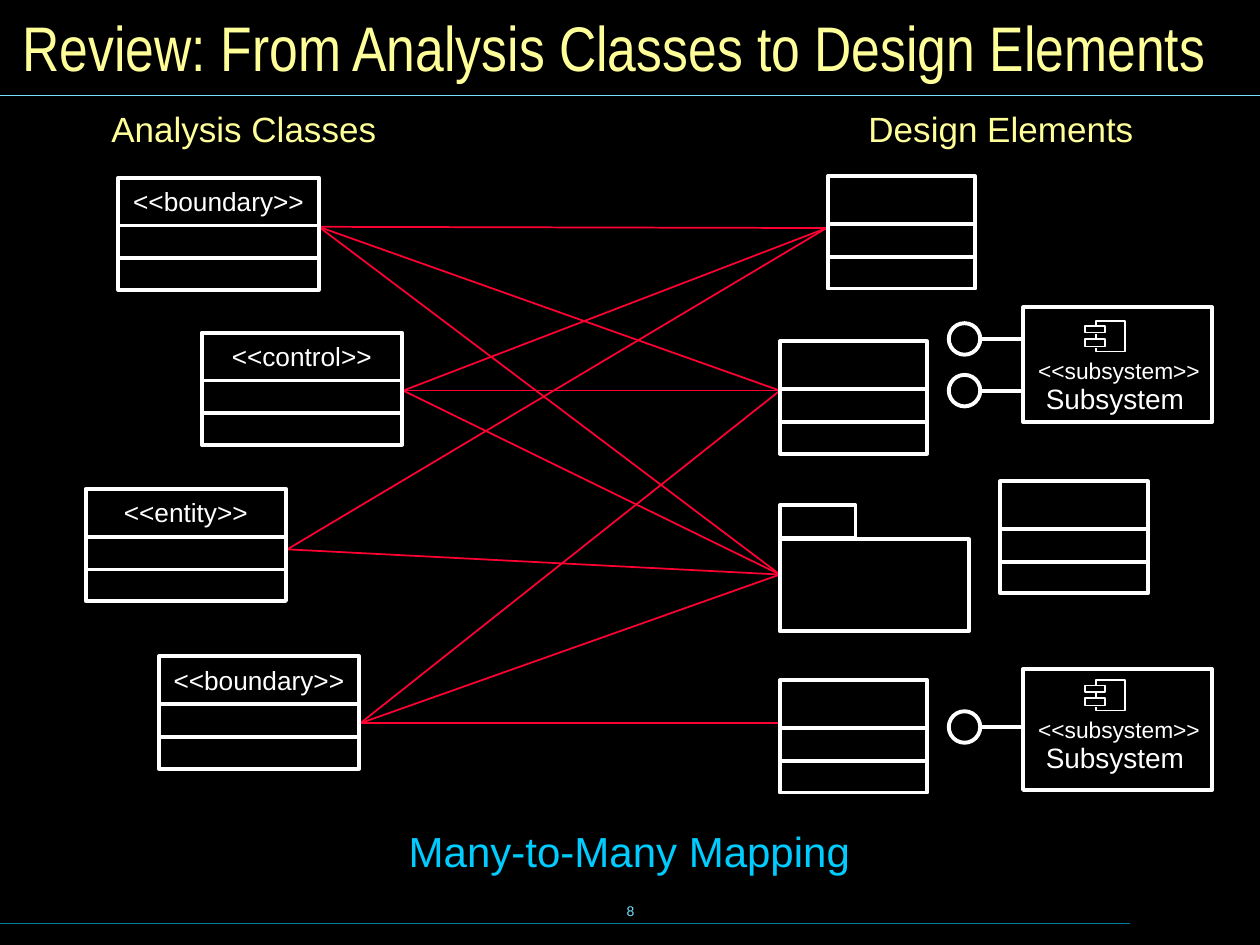
import pptx
import pptx.util
import pptx.dml.color
import pptx.enum.shapes
import pptx.enum.text
import pptx.oxml.ns
import lxml.etree

Inches = pptx.util.Inches
Pt = pptx.util.Pt
RGBColor = pptx.dml.color.RGBColor
MSO_SHAPE = pptx.enum.shapes.MSO_SHAPE
MSO_ANCHOR = pptx.enum.text.MSO_ANCHOR
PP_ALIGN = pptx.enum.text.PP_ALIGN

BLACK = RGBColor(0x00, 0x00, 0x00)
WHITE = RGBColor(0xFF, 0xFF, 0xFF)
YELLOW = RGBColor(0xFF, 0xFF, 0x99)
CYAN = RGBColor(0x00, 0xCC, 0xFF)
PALE_CYAN = RGBColor(0x73, 0xE1, 0xFF)
TEAL = RGBColor(0x00, 0x7E, 0x9F)
RED = RGBColor(0xFF, 0x00, 0x33)

OUTLINE = 2.25
CLASS_HEIGHT = 0.89
DIVIDERS = (0.38, 0.64)

ANALYSIS_CLASSES = [
    ("<<boundary>>", 0.94, 1.41),
    ("<<control>>", 1.6, 2.64),
    ("<<entity>>", 0.68, 3.88),
    ("<<boundary>>", 1.26, 5.21),
]
DESIGN_CLASSES = [(6.57, 1.4), (6.19, 2.71), (7.94, 3.82), (6.19, 5.4)]
ANALYSIS_PORTS = [(2.53, 1.8), (3.2, 3.1), (2.28, 4.36), (2.86, 5.74)]
DESIGN_PORTS = [(6.56, 1.81), (6.19, 3.1), (6.19, 4.56), (6.19, 5.74)]
MAPPING = [(0, 1, 2), (0, 1, 2), (0, 2), (1, 2, 3)]


def add_line(shapes, start, end, color=WHITE, width=OUTLINE):
    connector = shapes.add_connector(
        pptx.enum.shapes.MSO_CONNECTOR.STRAIGHT,
        *(Inches(value) for value in (*start, *end)),
    )
    connector.line.color.rgb = color
    connector.line.width = Pt(width)
    properties = connector._element.spPr
    lxml.etree.SubElement(properties, pptx.oxml.ns.qn("a:effectLst"))


def style_outline(shape, width):
    shape.shadow.inherit = False
    shape.fill.background()
    shape.line.color.rgb = WHITE
    shape.line.width = Pt(width)


def add_outline(shapes, kind, left, top, width, height, line_width=OUTLINE):
    bounds = (Inches(value) for value in (left, top, width, height))
    style_outline(shapes.add_shape(kind, *bounds), line_width)


def format_paragraph(paragraph, size, color, align, font_name="Arial"):
    paragraph.alignment = align
    paragraph.font.size = Pt(size)
    paragraph.font.name = font_name
    paragraph.font.color.rgb = color


def add_text(shapes, text, bounds, size, color, align=PP_ALIGN.CENTER,
             inset=0.12, anchor=MSO_ANCHOR.TOP):
    box = shapes.add_textbox(*(Inches(value) for value in bounds))
    frame = box.text_frame
    frame.word_wrap = True
    frame.vertical_anchor = anchor
    frame.margin_left = frame.margin_right = Inches(inset)
    frame.margin_top = frame.margin_bottom = Inches(inset / 2)
    frame.text = text
    format_paragraph(frame.paragraphs[0], size, color, align)


def add_class(slide, left, top, width, stereotype=None):
    shapes = slide.shapes.add_group_shape().shapes
    add_outline(shapes, MSO_SHAPE.RECTANGLE, left, top, width, CLASS_HEIGHT)
    for offset in DIVIDERS:
        add_line(shapes, (left, top + offset), (left + width, top + offset))
    if stereotype:
        add_text(shapes, stereotype, (left - 0.08, top, width + 0.16, 0.37), 15, WHITE)


def add_package(slide, left, top):
    shapes = slide.shapes.add_group_shape().shapes
    add_outline(shapes, MSO_SHAPE.RECTANGLE, left, top + 0.27, 1.5, 0.73)
    add_outline(shapes, MSO_SHAPE.RECTANGLE, left, top, 0.6, 0.26)


def add_interface(slide, center_y):
    shapes = slide.shapes.add_group_shape().shapes
    add_outline(shapes, MSO_SHAPE.OVAL, 7.53, center_y - 0.125, 0.25, 0.25)
    add_line(shapes, (7.78, center_y), (8.12, center_y))


def add_component_icon(slide, left, top):
    shapes = slide.shapes.add_group_shape().shapes
    for offset, height in ((0.14, 0.06), (0.04, 0.05)):
        add_outline(shapes, MSO_SHAPE.RECTANGLE, left, top + offset, 0.16, height, 1)
    inner, right = left + 0.09, left + 0.32
    points = [(inner, top + 0.04), (inner, top), (right, top),
              (right, top + 0.24), (inner, top + 0.24), (inner, top + 0.21)]
    corners = [(Inches(x), Inches(y)) for x, y in points]
    builder = shapes.build_freeform(*corners[0])
    builder.add_line_segments(corners[1:], close=False)
    style_outline(builder.convert_to_shape(), 1)
    add_line(shapes, (inner, top + 0.1), (inner, top + 0.13), width=1)


def add_subsystem(slide, top, height, icon_top, interfaces):
    add_outline(slide.shapes, MSO_SHAPE.RECTANGLE, 8.12, top, 1.5, height)
    for center_y in interfaces:
        add_interface(slide, center_y)
    labels = [("Subsystem", (8.3, icon_top + 0.48, 1.2, 0.27), 16),
              ("<<subsystem>>", (8.24, icon_top + 0.28, 1.36, 0.22), 13)]
    for text, bounds, size in labels:
        add_text(slide.shapes, text, bounds, size, WHITE, PP_ALIGN.LEFT, 0)
    add_component_icon(slide, 8.61, icon_top)


def set_title(slide, text):
    title = slide.shapes.title
    title.left, title.top = Inches(0.08), Inches(0.08)
    title.width, title.height = Inches(9.84), Inches(0.58)
    frame = title.text_frame
    frame.text = text
    frame.vertical_anchor = MSO_ANCHOR.MIDDLE
    frame.auto_size = pptx.enum.text.MSO_AUTO_SIZE.NONE
    format_paragraph(frame.paragraphs[0], 36, YELLOW, PP_ALIGN.LEFT, "Arial Narrow")


def add_mapping(slide):
    for start, targets in zip(ANALYSIS_PORTS, MAPPING):
        for target in targets:
            add_line(slide.shapes, start, DESIGN_PORTS[target], RED, 1)


def main():
    presentation = pptx.Presentation()
    presentation.slide_width = Inches(10)
    presentation.slide_height = Inches(7.5)
    slide = presentation.slides.add_slide(presentation.slide_layouts[5])
    slide.background.fill.solid()
    slide.background.fill.fore_color.rgb = BLACK

    set_title(slide, "Review: From Analysis Classes to Design Elements")
    add_text(slide.shapes, "8", (3.42, 6.98, 3.17, 0.5), 8, PALE_CYAN,
             inset=0.1, anchor=MSO_ANCHOR.MIDDLE)
    add_line(slide.shapes, (0, 7.33), (8.97, 7.33), TEAL, 0.75)
    add_line(slide.shapes, (0, 0.76), (10, 0.76), PALE_CYAN, 0.75)
    add_text(slide.shapes, "Analysis Classes", (0.6, 0.79, 2.67, 0.45), 20, YELLOW)
    add_text(slide.shapes, "Design Elements", (6.61, 0.79, 2.67, 0.45), 20, YELLOW)
    add_text(slide.shapes, "Many-to-Many Mapping", (2.83, 6.49, 4.33, 0.52), 24, CYAN)

    add_mapping(slide)
    for left, top in DESIGN_CLASSES:
        add_class(slide, left, top, 1.17)
    add_package(slide, 6.19, 4.01)
    for stereotype, left, top in ANALYSIS_CLASSES:
        add_class(slide, left, top, 1.59, stereotype)
    add_subsystem(slide, 5.31, 0.96, 5.4, [5.77])
    add_subsystem(slide, 2.44, 0.91, 2.55, [2.69, 3.1])

    presentation.save("out.pptx")


if __name__ == "__main__":
    main()
